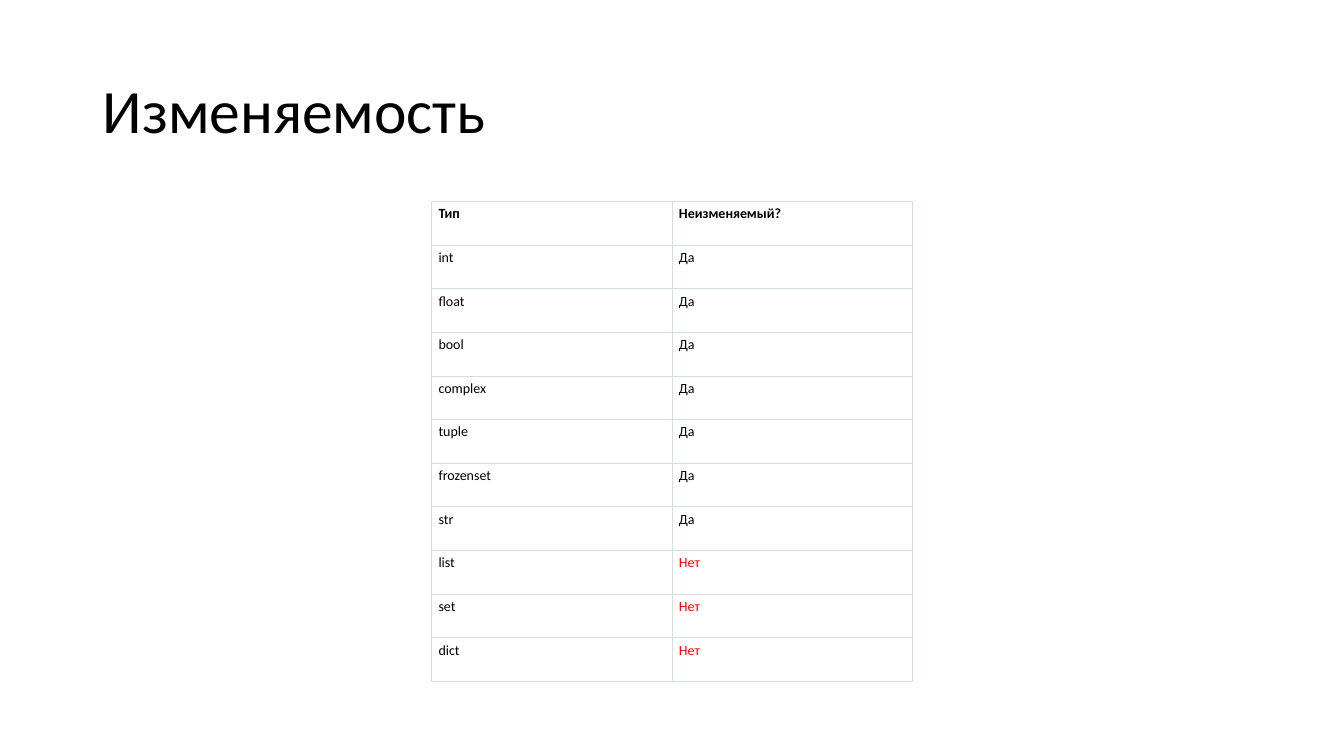
from lxml import etree
from pptx import Presentation, util as u
from pptx.dml.color import RGBColor
from pptx.enum import text
from pptx.oxml.ns import qn

PX = 9144  # EMU per px, 100 px to the inch
COLORS = {"ink": "000000", "paper": "FFFFFF", "grid": "D5DDDF", "alert": "FF0000"}
FONT = "Calibri"

IMMUTABLE = ["int", "float", "bool", "complex", "tuple", "frozenset", "str"]
MUTABLE = ["list", "set", "dict"]


def px(length):
    return u.Emu(length * PX)


def color(name):
    return RGBColor.from_string(COLORS[name])


class SlideBuilder:
    def __init__(self, deck):
        self.page = deck.slides.add_slide(deck.slide_layouts[6])

    def style(self, para, size, ink="ink", bold=False):
        font = para.font
        font.name, font.size, font.bold = FONT, u.Pt(size), bold
        font.color.rgb = color(ink)

    def title(self, words, left, top, width, height):
        box = self.page.shapes.add_textbox(px(left), px(top), px(width), px(height))
        frame = box.text_frame
        frame.word_wrap = True
        frame.vertical_anchor = text.MSO_ANCHOR.MIDDLE
        para = frame.paragraphs[0]
        para.text = words
        para.line_spacing = 0.9
        self.style(para, 44)

    def borders(self, cell):
        properties = cell._tc.get_or_add_tcPr()
        for index, side in enumerate(("lnL", "lnR", "lnT", "lnB")):
            line = etree.Element(qn(f"a:{side}"), w=str(u.Pt(0.75)))
            fill = etree.SubElement(line, qn("a:solidFill"))
            etree.SubElement(fill, qn("a:srgbClr"), val=COLORS["grid"])
            properties.insert(index, line)

    def cell(self, cell, words, ink, bold):
        cell.margin_left = cell.margin_right = px(7)
        cell.margin_top, cell.margin_bottom = px(4), px(5)
        cell.vertical_anchor = text.MSO_ANCHOR.TOP
        cell.fill.solid()
        cell.fill.fore_color.rgb = color("paper")
        self.borders(cell)
        para = cell.text_frame.paragraphs[0]
        para.text = words
        self.style(para, 10, ink, bold)

    def table(self, rows, left, top, width, height):
        frame = self.page.shapes.add_table(
            len(rows), len(rows[0]), px(left), px(top), px(width), px(height))
        table = frame.table
        table.horz_banding = False
        for r, row in enumerate(rows):
            for c, words in enumerate(row):
                ink = "alert" if words == "Нет" else "ink"
                self.cell(table.cell(r, c), words, ink, bold=r == 0)


def main():
    deck = Presentation()
    deck.slide_width, deck.slide_height = u.Inches(13.33), u.Inches(7.5)
    slide = SlideBuilder(deck)

    # Heading
    slide.title("Изменяемость", 92, 40, 1150, 145)

    # Types and whether they are immutable
    rows = [("Тип", "Неизменяемый?")]
    rows += [(name, "Да") for name in IMMUTABLE]
    rows += [(name, "Нет") for name in MUTABLE]
    slide.table(rows, 428, 200, 477, 476)

    deck.save("out.pptx")


if __name__ == "__main__":
    main()
